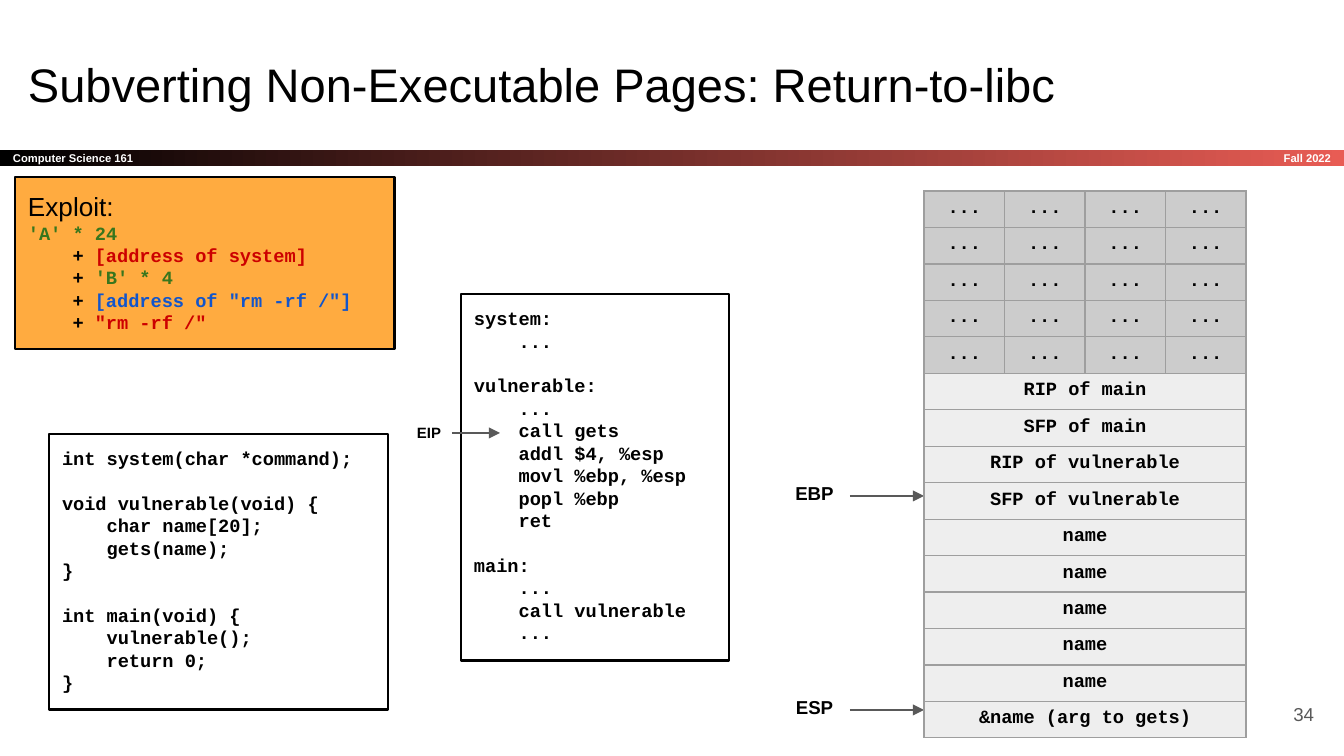
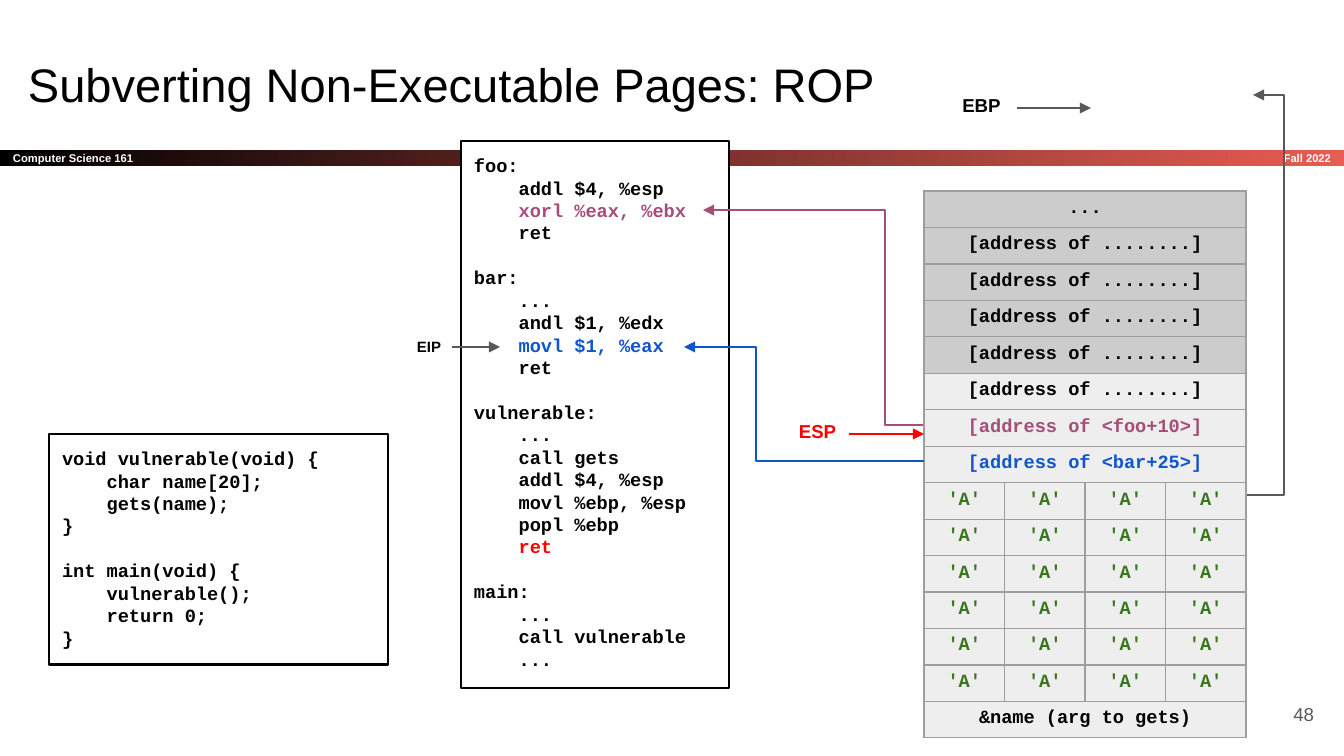
import pptx
import pptx.dml.color
import pptx.enum.shapes
import pptx.enum.text
import pptx.oxml.ns
import pptx.util
from lxml import etree

SCALE = 914400 / 134.4  # EMU per px
WIDTH, HEIGHT = 1344, 756
SANS, MONO = "Arial", "Courier New"
BLACK, WHITE, GRAY, BORDER = "000000", "FFFFFF", "595959", "9E9E9E"
ORANGE, CORAL, DARK_CELL, LIGHT_CELL = "FFAB40", "E85C54", "CCCCCC", "EEEEEE"
GREEN, CRIMSON, RED, BLUE, PLUM = "38761D", "CC0000", "FF0000", "1155CC", "A64D79"
ALIGN = pptx.enum.text.PP_ALIGN
ANCHOR = pptx.enum.text.MSO_ANCHOR
RECT = pptx.enum.shapes.MSO_SHAPE.RECTANGLE
STRAIGHT = pptx.enum.shapes.MSO_CONNECTOR.STRAIGHT
qn = pptx.oxml.ns.qn

# Code shared by both slides
C_CODE = """void vulnerable(void) {
    char name[20];
    gets(name);
}

int main(void) {
    vulnerable();
    return 0;
}""".split("\n")
VULNERABLE_ASM = """vulnerable:
    ...
    call gets
    addl $4, %esp
    movl %ebp, %esp
    popl %ebp""".split("\n")
MAIN_ASM = ["", "main:", "    ...", "    call vulnerable", "    ..."]


def px(*lengths):
    return [pptx.util.Emu(round(n * SCALE)) for n in lengths]


def rgb(value):
    return pptx.dml.color.RGBColor.from_string(value)


def text(tf, lines, font=SANS, size=10, color=BLACK, bold=True,
         align=ALIGN.LEFT, anchor=ANCHOR.TOP, inset=13):
    """Add lines: strings or lists of (text, colour); "" leaves a line's gap."""
    tf.word_wrap = True
    tf.vertical_anchor = anchor
    tf.margin_left, tf.margin_top, tf.margin_right, tf.margin_bottom = px(*[inset] * 4)
    gap = 0
    for line in lines:
        if not line:
            gap = size * 1.2
            continue
        p = tf.paragraphs[0] if not tf.text else tf.add_paragraph()
        p.alignment = align
        if gap:
            p.space_before = pptx.util.Pt(gap)
            gap = 0
        for words, tint in [(line, color)] if isinstance(line, str) else line:
            r = p.add_run()
            r.text = words
            r.font.name = font
            r.font.size = pptx.util.Pt(size)
            r.font.bold = bold
            r.font.color.rgb = rgb(tint)


def label(s, box, words, **fmt):
    text(s.shapes.add_textbox(*px(*box)).text_frame, [words], **fmt)


def code_box(s, box, lines, fill=WHITE, heading=None):
    sp = s.shapes.add_shape(RECT, *px(*box))
    sp.shadow.inherit = False
    sp.fill.solid()
    sp.fill.fore_color.rgb = rgb(fill)
    sp.line.color.rgb = rgb(BLACK)
    sp.line.width = pptx.util.Pt(1.5)
    if heading:
        text(sp.text_frame, [heading], size=14, bold=False)
    text(sp.text_frame, lines, font=MONO)


def arrow(s, points, color=GRAY):
    """Straight connector for two points, bent open outline for more."""
    points = [px(*point) for point in points]
    if len(points) == 2:
        sp = s.shapes.add_connector(STRAIGHT, *points[0], *points[1])
    else:
        builder = s.shapes.build_freeform(*points[0])
        builder.add_line_segments(points[1:], close=False)
        sp = builder.convert_to_shape()
        sp.fill.background()
        sp.shadow.inherit = False
    sp.line.color.rgb = rgb(color)
    sp.line.width = pptx.util.Pt(0.75)
    props = sp.element.spPr
    etree.SubElement(props.find(qn("a:ln")), qn("a:tailEnd"), type="triangle")
    if len(points) == 2:
        etree.SubElement(props, qn("a:effectLst"))


def pointer(s, name, x, y, tip, w=71, h=50, gap=0, line=GRAY, **fmt):
    """Register name centred on height y, with an arrow ending at tip."""
    label(s, (x, y - h // 2, w, h), name, align=ALIGN.CENTER, **fmt)
    arrow(s, [(x + w + gap, y), (tip, y)], line)


def eip_pointer(s, y):
    pointer(s, "EIP", 406, y, 500, w=46, h=32, size=8, inset=7)


def style_cell(cell, fill):
    props = cell._tc.get_or_add_tcPr()
    for side in ("lnL", "lnR", "lnT", "lnB"):
        ln = etree.SubElement(props, qn("a:" + side), w=str(pptx.util.Pt(0.75)))
        solid = etree.SubElement(ln, qn("a:solidFill"))
        etree.SubElement(solid, qn("a:srgbClr"), val=BORDER)
    cell.fill.solid()
    cell.fill.fore_color.rgb = rgb(fill)


def stack_table(s, box, rows, dark_rows=5):
    """Stack rows of (text, colour, cell count); one-cell rows are merged."""
    table = s.shapes.add_table(len(rows), 4, *px(*box)).table
    table.first_row = table.horz_banding = False
    for i, (words, color, count) in enumerate(rows):
        table.rows[i].height = px(box[3] / len(rows))[0]
        for j in range(4):
            style_cell(table.cell(i, j), DARK_CELL if i < dark_rows else LIGHT_CELL)
        if count == 1:
            table.cell(i, 0).merge(table.cell(i, 3))
        for j in range(count):
            cell = table.cell(i, j)
            text(cell.text_frame, [words], font=MONO, color=color, align=ALIGN.CENTER)
            (cell.margin_left, cell.margin_top,
             cell.margin_right, cell.margin_bottom) = px(*[7] * 4)


def base_slide(prs, title, number):
    s = prs.slides.add_slide(prs.slide_layouts[6])
    # Course band
    band = s.shapes.add_shape(RECT, *px(0, 150, WIDTH, 16))
    band.shadow.inherit = False
    band.line.fill.background()
    band.fill.gradient()
    band.fill.gradient_angle = 0
    for stop, color, place in zip(band.fill.gradient_stops, (BLACK, CORAL), (0, 1)):
        stop.color.rgb = rgb(color)
        stop.position = place
    small = dict(size=6, color=WHITE, anchor=ANCHOR.MIDDLE)
    text(band.text_frame, ["Computer Science 161"], **small)
    label(s, (1121, 150, 223, 16), "Fall 2022", align=ALIGN.RIGHT, **small)
    # Title and slide number
    label(s, (15, 40, 1253, 85), title, size=25.2, bold=False, anchor=ANCHOR.BOTTOM)
    label(s, (1246, 685, 81, 58), number, color=GRAY, bold=False,
          align=ALIGN.RIGHT, anchor=ANCHOR.MIDDLE)
    return s


STACK_BOX = (924, 191, 322, 537)


def return_to_libc_slide(prs):
    s = base_slide(prs, "Subverting Non-Executable Pages: Return-to-libc", "34")
    # Stack and its registers
    pointer(s, "EBP", 779, 496, 924)
    pointer(s, "ESP", 779, 710, 924)
    frames = ["RIP of main", "SFP of main", "RIP of vulnerable", "SFP of vulnerable"]
    frames += ["name"] * 5 + ["&name (arg to gets)"]
    stack_table(s, STACK_BOX,
                [("...", BLACK, 4)] * 5 + [(name, BLACK, 1) for name in frames])
    # Exploit input
    plus = ("    + ", BLACK)
    code_box(s, (15, 177, 380, 172), [
        [("'A' * 24", GREEN)],
        [plus, ("[address of system]", CRIMSON)],
        [plus, ("'B' * 4", GREEN)],
        [plus, ('[address of "rm -rf /"]', BLUE)],
        [plus, ('"rm -rf /"', CRIMSON)],
    ], fill=ORANGE, heading="Exploit:")
    # Assembly and C code
    code_box(s, (461, 294, 268, 367),
             ["system:", "    ...", "", *VULNERABLE_ASM, "    ret", *MAIN_ASM])
    eip_pointer(s, 433)
    code_box(s, (49, 434, 339, 276), ["int system(char *command);", "", *C_CODE])


def rop_slide(prs):
    s = base_slide(prs, "Subverting Non-Executable Pages: ROP", "48")
    # Assembly and C code
    code_box(s, (461, 141, 268, 547), [
        "foo:", "    addl $4, %esp", [("    xorl %eax, %ebx", PLUM)], "    ret", "",
        "bar:", "    ...", "    andl $1, %edx", [("    movl $1, %eax", BLUE)],
        "    ret", "",
        *VULNERABLE_ASM, [("    ret", RED)], *MAIN_ASM,
    ])
    eip_pointer(s, 347)
    code_box(s, (49, 434, 339, 231), C_CODE)
    # Overwritten frame pointer
    arrow(s, [(1246, 495), (1284, 495), (1284, 95), (1253, 95)])
    pointer(s, "EBP", 946, 108, 1091)
    # Stack with its chain of gadget addresses
    arrow(s, [(924, 425), (885, 425), (885, 210), (703, 210)], PLUM)
    stack_table(s, STACK_BOX, [
        ("...", BLACK, 1),
        *[("[address of ........]", BLACK, 1)] * 5,
        ("[address of <foo+10>]", PLUM, 1),
        ("[address of <bar+25>]", BLUE, 1),
        *[("'A'", GREEN, 4)] * 6,
        ("&name (arg to gets)", BLACK, 1),
    ])
    arrow(s, [(924, 461), (756, 461), (756, 347), (684, 347)], BLUE)
    pointer(s, "ESP", 782, 434, 924, gap=-4, line=RED, color=RED)


def main():
    prs = pptx.Presentation()
    prs.slide_width, prs.slide_height = px(WIDTH, HEIGHT)
    return_to_libc_slide(prs)
    rop_slide(prs)
    prs.save("out.pptx")


if __name__ == "__main__":
    main()
